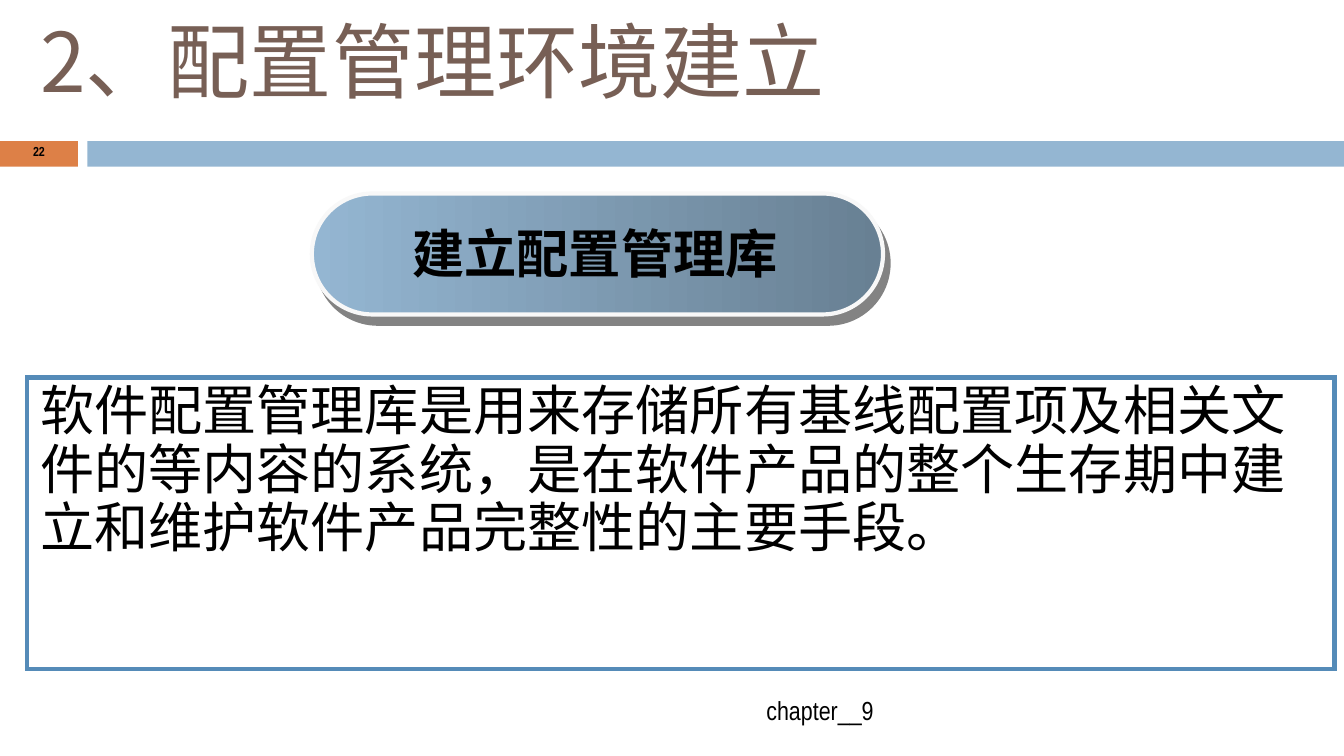
from dataclasses import dataclass
from typing import Optional

from lxml.etree import SubElement
from pptx import Presentation
from pptx.dml.color import RGBColor
from pptx.enum.shapes import MSO_SHAPE
from pptx.enum.text import MSO_ANCHOR, PP_ALIGN
from pptx.oxml.ns import qn
from pptx.util import Inches, Pt


@dataclass(frozen=True)
class Theme:
    title: str = "775F55"
    text: str = "000000"
    orange: str = "DD8047"
    blue: str = "94B6D2"
    slate: str = "688093"
    frame: str = "558BB8"
    rim: str = "F8F8F8"
    shadow: str = "080808"
    chinese: str = "Noto Sans CJK SC"
    latin: str = "Arial Narrow"
    title_size: float = 44
    body_size: float = 29
    heading_size: float = 28
    footer_size: float = 14
    number_size: float = 7
    line_width: float = 2.25


THEME = Theme()


@dataclass(frozen=True)
class Box:
    left: float
    top: float
    width: float
    height: float

    def lengths(self) -> tuple:
        return tuple(Inches(value) for value in (self.left, self.top, self.width, self.height))


@dataclass(frozen=True)
class Label:
    text: str
    box: Box
    size: float
    font: str
    color: str = THEME.text
    bold: bool = False
    align: PP_ALIGN = PP_ALIGN.LEFT
    anchor: MSO_ANCHOR = MSO_ANCHOR.TOP
    line_spacing: Optional[float] = None


BARS = [(Box(0, 1.05, 0.58, 0.19), THEME.orange), (Box(0.65, 1.05, 9.35, 0.19), THEME.blue)]
PILL_BOX = Box(2.32, 1.44, 4.25, 0.9)
TITLE = Label("2、配置管理环境建立", Box(0.2, 0.03, 8.5, 0.94), THEME.title_size, THEME.chinese,
              THEME.title)
FOOTER = Label("chapter__9", Box(0.67, 5.13, 5.93, 0.3), THEME.footer_size, THEME.latin,
               align=PP_ALIGN.RIGHT, anchor=MSO_ANCHOR.MIDDLE)
PAGE_NUMBER = Label("22", Box(0, 1.04, 0.58, 0.2), THEME.number_size, THEME.latin, bold=True,
                    align=PP_ALIGN.CENTER, anchor=MSO_ANCHOR.MIDDLE, line_spacing=0.8)
BODY = Label("软件配置管理库是用来存储所有基线配置项及相关文件的等内容的系统，"
             "是在软件产品的整个生存期中建立和维护软件产品完整性的主要手段。",
             Box(0.2, 2.81, 9.73, 2.17), THEME.body_size, THEME.chinese, line_spacing=0.9)
HEADING = Label("建立配置管理库", Box(2.97, 1.6, 3.88, 0.57), THEME.heading_size, THEME.chinese,
                bold=True)


def add_plain_shape(slide, kind: MSO_SHAPE, box: Box):
    shape = slide.shapes.add_shape(kind, *box.lengths())
    shape.shadow.inherit = False
    return shape


def add_bar(slide, box: Box, color: str) -> None:
    bar = add_plain_shape(slide, MSO_SHAPE.RECTANGLE, box)
    bar.fill.solid()
    bar.fill.fore_color.rgb = RGBColor.from_string(color)
    bar.line.fill.background()


def set_outline(shape, color: str) -> None:
    shape.line.color.rgb = RGBColor.from_string(color)
    shape.line.width = Pt(THEME.line_width)
    SubElement(shape._element.spPr.find(qn("a:ln")), qn("a:miter"), lim="800000")


def add_body(slide, label: Label) -> None:
    frame = add_plain_shape(slide, MSO_SHAPE.RECTANGLE, label.box)
    frame.fill.background()
    set_outline(frame, THEME.frame)
    write_label(frame, label)


def add_pill(slide, box: Box) -> None:
    pill = add_plain_shape(slide, MSO_SHAPE.ROUNDED_RECTANGLE, box)
    pill.adjustments[0] = 0.5
    pill.fill.gradient()
    pill.fill.gradient_angle = 0
    for stop, color in zip(pill.fill.gradient_stops, (THEME.blue, THEME.slate)):
        stop.color.rgb = RGBColor.from_string(color)
    set_outline(pill, THEME.rim)
    effects = pill._element.spPr.find(qn("a:effectLst"))
    shadow = SubElement(effects, qn("a:outerShdw"), blurRad="0", dist=str(Pt(5.8)),
                        dir=str(59 * 60000), algn="ctr", rotWithShape="0")
    color = SubElement(shadow, qn("a:srgbClr"), val=THEME.shadow)
    SubElement(color, qn("a:alpha"), val="50000")


def write_label(shape, label: Label) -> None:
    text_frame = shape.text_frame
    text_frame.word_wrap = True
    text_frame.vertical_anchor = label.anchor
    text_frame.text = label.text
    paragraph = text_frame.paragraphs[0]
    paragraph.alignment = label.align
    if label.line_spacing:
        paragraph.line_spacing = label.line_spacing
    for run in paragraph.runs:
        run.font.name = label.font
        run.font.size = Pt(label.size)
        run.font.bold = label.bold
        run.font.color.rgb = RGBColor.from_string(label.color)
        SubElement(run.font._element, qn("a:ea"), typeface=label.font)


def add_label(slide, label: Label) -> None:
    write_label(slide.shapes.add_textbox(*label.box.lengths()), label)


def main() -> None:
    """Build the slide on setting up a configuration management library."""
    presentation = Presentation()
    presentation.slide_width = Inches(10)
    presentation.slide_height = Inches(10) * 9 // 16
    slide = presentation.slides.add_slide(presentation.slide_layouts[6])
    for box, color in BARS:
        add_bar(slide, box, color)
    for label in (TITLE, FOOTER, PAGE_NUMBER):
        add_label(slide, label)
    add_body(slide, BODY)
    add_pill(slide, PILL_BOX)
    add_label(slide, HEADING)
    presentation.save("out.pptx")


if __name__ == "__main__":
    main()
